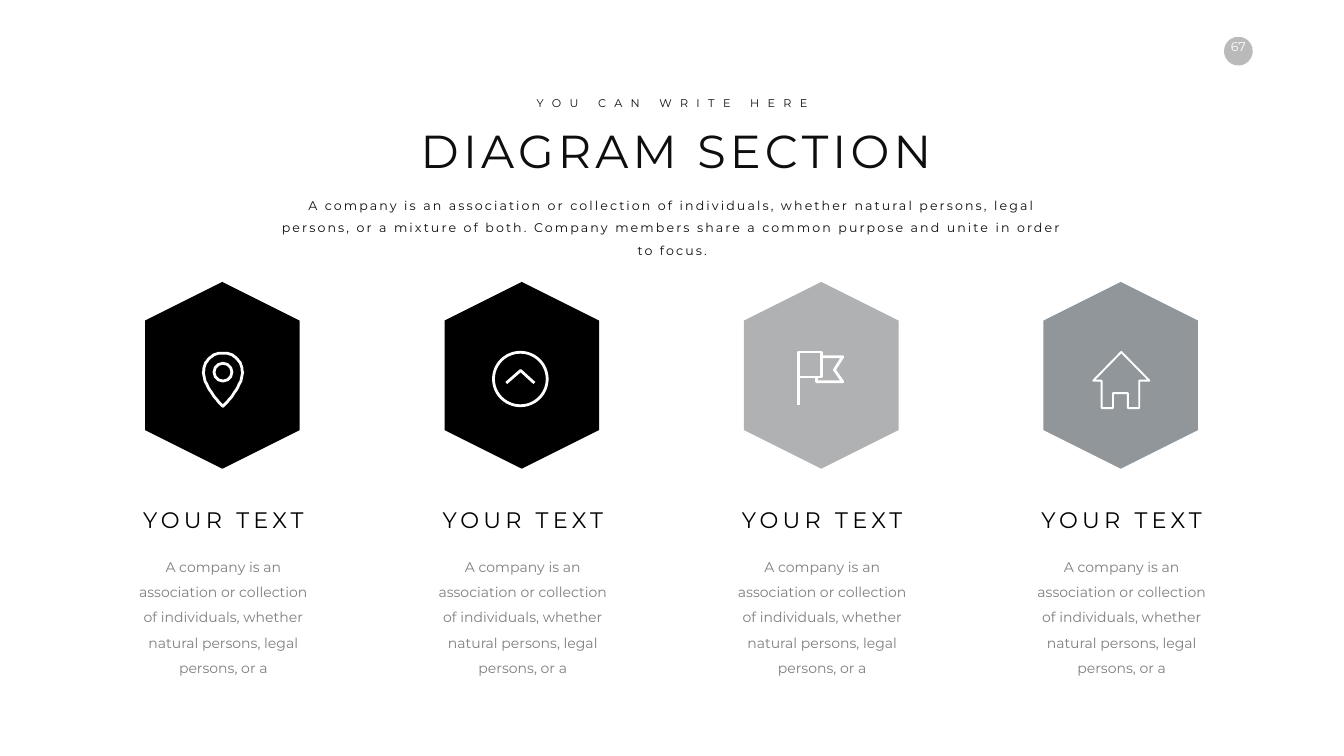
from dataclasses import dataclass

from pptx import Presentation
from pptx.dml.color import RGBColor
from pptx.enum.shapes import MSO_SHAPE
from pptx.enum.text import MSO_ANCHOR, MSO_AUTO_SIZE, PP_ALIGN
from pptx.oxml.ns import qn
from pptx.util import Inches, Pt
from lxml.etree import SubElement

WIDTH, HEIGHT = 26.66, 15
FONT = "Montserrat"
COLOURS = {
    "black": "000000",
    "ink": "0E0E0E",
    "body": "7F7F7F",
    "white": "FFFFFF",
    "silver": "B0B1B3",
    "slate": "91969B",
}
INTRO = (
    "A company is an association or collection of individuals, whether natural persons, "
    "legal persons, or a mixture of both. Company members share a common purpose and "
    "unite in order to focus."
)
COLUMN_BODY = (
    "A company is an association or collection of individuals, whether natural persons, "
    "legal persons, or a"
)


@dataclass
class Box:
    left: float
    top: float
    width: float
    height: float

    def share(self, x, y, width, height):
        return Box(self.left + x * self.width, self.top + y * self.height,
                   width * self.width, height * self.height)

    def emu(self):
        return [Inches(v) for v in (self.left, self.top, self.width, self.height)]


def colour(name):
    return RGBColor.from_string(COLOURS[name])


def add_filled(slide, kind, box, fill):
    shape = slide.shapes.add_shape(kind, *box.emu())
    shape.shadow.inherit = False
    shape.fill.solid()
    shape.fill.fore_color.rgb = colour(fill)
    shape.line.fill.background()
    return shape


def write(holder, text, size, ink, spacing=0, leading=1.0, wrap=False):
    frame = holder.text_frame
    frame.text = text
    frame.word_wrap = wrap
    frame.auto_size = MSO_AUTO_SIZE.SHAPE_TO_FIT_TEXT
    frame.vertical_anchor = MSO_ANCHOR.TOP
    paragraph = frame.paragraphs[0]
    paragraph.alignment = PP_ALIGN.CENTER
    paragraph.line_spacing = leading
    run = paragraph.runs[0]
    run.font.name = FONT
    run.font.size = Pt(size)
    run.font.color.rgb = colour(ink)
    if spacing:
        run._r.get_or_add_rPr().set("spc", str(spacing * 100))


def add_text(slide, box, *args, **style):
    write(slide.shapes.add_textbox(*box.emu()), *args, **style)


def outline(shape, weight):
    shape.shadow.inherit = False
    shape.fill.background()
    shape.line.color.rgb = colour("white")
    shape.line.width = Pt(weight)


def stroke(slide, box, points, weight=4, close=False):
    scale = Inches(box.width) / 100
    builder = slide.shapes.build_freeform(*points[0], scale=scale)
    builder.add_line_segments(points[1:], close=close)
    outline(builder.convert_to_shape(Inches(box.left), Inches(box.top)), weight)


def ring(slide, box, x, y, radius):
    area = box.share((x - radius) / 100, (y - radius) / 100, radius / 50, radius / 50)
    outline(slide.shapes.add_shape(MSO_SHAPE.OVAL, *area.emu()), 4)


def bezier(start, first, second, end, steps=16):
    return [
        tuple((1 - t) ** 3 * a + 3 * (1 - t) ** 2 * t * b + 3 * (1 - t) * t ** 2 * c + t ** 3 * d
              for a, b, c, d in zip(start, first, second, end))
        for t in (step / steps for step in range(steps + 1))
    ]


def pin_icon(slide, box):
    crown = bezier((51, 5.5), (69, 5.5), (83.5, 20), (83.5, 38))
    side = bezier((83.5, 38), (83.5, 65), (51, 95), (51, 95))
    right = crown + side[1:]
    left = [(102 - x, y) for x, y in reversed(right[1:-1])]
    stroke(slide, box, right + left, close=True)
    ring(slide, box, 51, 38, 15)


def arrow_icon(slide, box):
    ring(slide, box, 47.5, 49.5, 45)
    stroke(slide, box, [(24, 56), (47.5, 35), (71, 56)])


def flag_icon(slide, box):
    stroke(slide, box, [(12.5, 93), (12.5, 3.5), (51, 3.5), (51, 46), (12.5, 46)])
    stroke(slide, box, [(51, 11.5), (86, 11.5), (72.5, 33.5), (86, 54), (42.5, 54), (42.5, 46)])


def house_icon(slide, box):
    walls = [(51, 4), (4, 52), (18, 52), (18, 98), (37, 98), (37, 73),
             (62, 73), (62, 98), (81, 98), (81, 52), (98, 52)]
    stroke(slide, box, walls, weight=2.7, close=True)


def page_badge(slide, box):
    add_filled(slide, MSO_SHAPE.OVAL, box, "black")
    add_text(slide, box.share(-0.25, 0, 1.5, 0.88), "67", 18, "white")


def veil(slide, box):
    sheet = add_filled(slide, MSO_SHAPE.RECTANGLE, box, "white")
    tint = sheet._element.spPr.find(qn("a:solidFill"))[0]
    SubElement(tint, qn("a:alpha"), val="73000")


def header(slide, box):
    title = slide.shapes.title
    slide.shapes._spTree.append(title._element)
    title.left, title.top, title.width, title.height = box.share(0.18, 0.18, 0.65, 0.43).emu()
    write(title, "DIAGRAM SECTION", 66, "ink", spacing=6)
    add_text(slide, box.share(0.32, 0, 0.36, 0.13), "YOU CAN WRITE HERE", 16, "ink", spacing=12)
    add_text(slide, box.share(0, 0.66, 1, 0.34), INTRO, 18, "ink",
             spacing=3, leading=1.5, wrap=True)


def column(slide, box, fill, draw_icon):
    hexagon = add_filled(slide, MSO_SHAPE.HEXAGON, box.share(0.01, 0.04, 0.97, 0.39), fill)
    hexagon.rotation = 270
    draw_icon(slide, box.share(0.34, 0.17, 0.31, 0.15))
    add_text(slide, box.share(0.04, 0.56, 0.92, 0.08), "YOUR TEXT", 32, "black", spacing=6)
    add_text(slide, box.share(0, 0.67, 1, 0.33), COLUMN_BODY, 20, "body",
             leading=1.5, wrap=True)


def main():
    deck = Presentation()
    deck.slide_width, deck.slide_height = Inches(WIDTH), Inches(HEIGHT)
    slide = deck.slides.add_slide(deck.slide_layouts[5])
    page_badge(slide, Box(24.28, 0.73, 0.57, 0.57))
    veil(slide, Box(0, 0, WIDTH, 7.42))
    header(slide, Box(5.32, 1.87, 16.03, 2.8))
    columns = [("black", pin_icon), ("black", arrow_icon),
               ("silver", flag_icon), ("slate", house_icon)]
    first, pitch = Box(2.52, 5.6, 3.82, 7.86), 5.94
    for index, (fill, draw_icon) in enumerate(columns):
        column(slide, first.share(index * pitch / first.width, 0, 1, 1), fill, draw_icon)
    deck.save("out.pptx")


if __name__ == "__main__":
    main()
